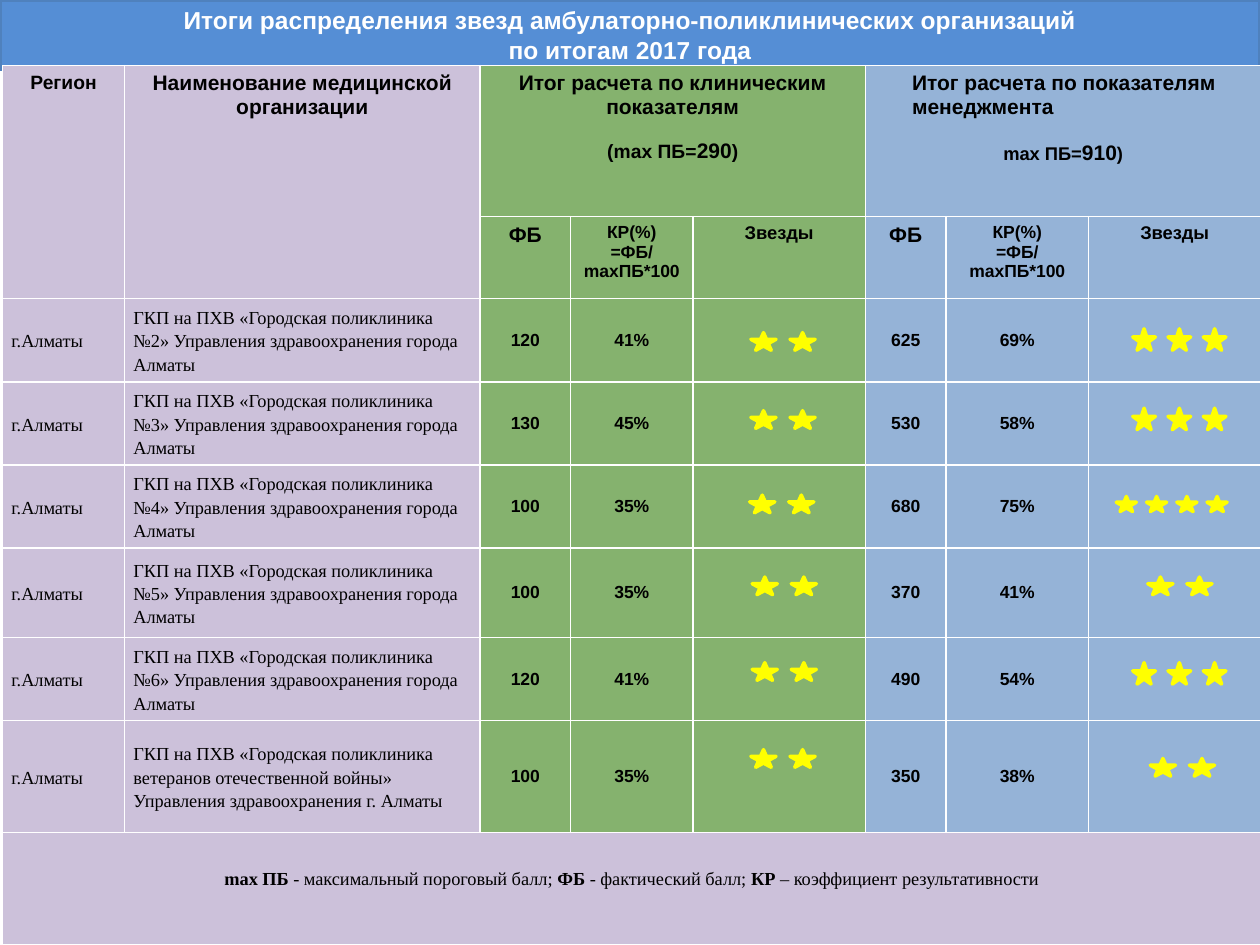
import dataclasses
import lxml.etree
import pptx
import pptx.dml.color
import pptx.enum.shapes
import pptx.enum.text
import pptx.oxml.ns
import pptx.util

Inches, Pt = pptx.util.Inches, pptx.util.Pt
ALIGN = pptx.enum.text.PP_ALIGN
MIDDLE = pptx.enum.text.MSO_ANCHOR.MIDDLE
LILAC, GREEN, BLUE = "CCC1DA", "85B26E", "95B3D7"
BLACK, WHITE, YELLOW = "000000", "FFFFFF", "FFFF00"
SERIF = "Times New Roman"
COLS = [0.97, 2.82, 0.72, 0.97, 1.37, 0.64, 1.13, 1.37]
ROWS = [1.2, 0.65, 0.66, 0.66, 0.66, 0.71, 0.66, 0.89, 0.89]
FILLS = [LILAC] * 2 + [GREEN] * 3 + [BLUE] * 3
# Star width, height and step by the number of stars in a cell
STARS = {2: (0.2, 0.14, 0.31), 3: (0.18, 0.17, 0.28), 4: (0.16, 0.12, 0.24)}

@dataclasses.dataclass
class Run:
    text: str
    size: float = 10.5
    bold: bool = True
    font: str = "Arial"
    color: str = BLACK

@dataclasses.dataclass
class Para:
    runs: list[Run]
    align: int = ALIGN.CENTER
    before: float = 0
    indent: float = 0
    lines: float = 1.0

@dataclasses.dataclass
class Score:
    points: str
    rate: str
    stars: int
    left: float
    top: float

@dataclasses.dataclass
class Clinic:
    name: str
    care: Score
    staff: Score

CITY = "Управления здравоохранения города Алматы"
CLINICS = [
    Clinic(f"№2» {CITY}", Score("120", "41%", 2, 5.96, 2.64), Score("625", "69%", 3, 8.99, 2.61)),
    Clinic(f"№3» {CITY}", Score("130", "45%", 2, 5.96, 3.26), Score("530", "58%", 3, 8.99, 3.24)),
    Clinic(f"№4» {CITY}", Score("100", "35%", 2, 5.95, 3.93), Score("680", "75%", 4, 8.86, 3.94)),
    Clinic(f"№5» {CITY}", Score("100", "35%", 2, 5.97, 4.58), Score("370", "41%", 2, 9.11, 4.58)),
    Clinic(f"№6» {CITY}", Score("120", "41%", 2, 5.97, 5.26), Score("490", "54%", 3, 8.99, 5.26)),
    Clinic("ветеранов отечественной войны» Управления здравоохранения г. Алматы",
           Score("100", "35%", 2, 5.96, 5.95), Score("350", "38%", 2, 9.13, 6.02)),
]

def rgb(color: str) -> pptx.dml.color.RGBColor:
    return pptx.dml.color.RGBColor.from_string(color)

def paint(shape, fill: str, line: str) -> None:
    shape.shadow.inherit = False
    shape.fill.solid()
    shape.fill.fore_color.rgb = rgb(fill)
    shape.line.color.rgb = rgb(line)
    shape.line.width = Pt(2)

def add_run(para, run: Run) -> None:
    item = para.add_run()
    item.text = run.text
    item.font.size = Pt(run.size)
    item.font.bold = run.bold
    item.font.name = run.font
    item.font.color.rgb = rgb(run.color)

def write(cell, paras: list[Para]) -> None:
    frame = cell.text_frame
    for i, data in enumerate(paras):
        para = frame.add_paragraph() if i else frame.paragraphs[0]
        para.alignment = data.align
        para.space_before = Pt(data.before)
        para.line_spacing = data.lines
        para._p.get_or_add_pPr().set("marL", str(Inches(data.indent)))
        for run in data.runs:
            add_run(para, run)

def center(cell, side: float) -> None:
    cell.vertical_anchor = MIDDLE
    cell.margin_left = cell.margin_right = Inches(side)
    cell.margin_top = cell.margin_bottom = 0

def style(cell, fill: str) -> None:
    props = cell._tc.get_or_add_tcPr()
    for edge in ("lnL", "lnR", "lnT", "lnB"):
        line = lxml.etree.SubElement(props, pptx.oxml.ns.qn(f"a:{edge}"), w=str(Pt(1)))
        solid = lxml.etree.SubElement(line, pptx.oxml.ns.qn("a:solidFill"))
        lxml.etree.SubElement(solid, pptx.oxml.ns.qn("a:srgbClr"), val=WHITE)
    cell.fill.solid()
    cell.fill.fore_color.rgb = rgb(fill)

def draw_stars(slide, score: Score) -> None:
    width, height, step = STARS[score.stars]
    group = slide.shapes.add_group_shape()
    for i in range(score.stars):
        shape = group.shapes.add_shape(
            pptx.enum.shapes.MSO_SHAPE.STAR_5_POINT, Inches(score.left + i * step),
            Inches(score.top), Inches(width), Inches(height))
        paint(shape, YELLOW, YELLOW)

def draw_title(slide) -> None:
    title = slide.shapes.title
    title.left, title.top = 0, 0
    title.width, title.height = Inches(10), Inches(0.55)
    paint(title, "558ED5", "4F81BD")
    frame = title.text_frame
    frame.auto_size = pptx.enum.text.MSO_AUTO_SIZE.NONE
    frame.vertical_anchor = MIDDLE
    para = frame.paragraphs[0]
    para.alignment = ALIGN.CENTER
    add_run(para, Run("Итоги распределения звезд амбулаторно-поликлинических организаций",
                      14, color=WHITE))
    para.add_line_break()
    add_run(para, Run("по итогам 2017 года", 14, color=WHITE))

def draw_head(table) -> None:
    for row, col, last_row, last_col in ((0, 0, 1, 0), (0, 1, 1, 1), (0, 2, 0, 4), (0, 5, 0, 7)):
        table.cell(row, col).merge(table.cell(last_row, last_col))
    write(table.cell(0, 0), [Para([Run("Регион", 11)])])
    write(table.cell(0, 1), [Para([Run("Наименование медицинской организации", 12)])])
    write(table.cell(0, 2), [
        Para([Run("Итог расчета по клиническим показателям", 12)]),
        Para([Run("(mах ПБ=", 11), Run("290", 12), Run(")", 11)], before=12)])
    write(table.cell(0, 5), [
        Para([Run("Итог расчета по показателям менеджмента", 12)], ALIGN.LEFT, indent=0.27),
        Para([Run("mах ПБ="), Run("910", 12), Run(")")], before=13)])
    for col in (2, 5):
        write(table.cell(1, col), [Para([Run("ФБ", 12)])])
        write(table.cell(1, col + 1),
              [Para([Run(text, 10)]) for text in ("КР(%)", "=ФБ/mахПБ*100")])
        write(table.cell(1, col + 2), [Para([Run("Звезды")])])

def draw_clinic(table, row: int, clinic: Clinic) -> None:
    for col, text in enumerate(("г.Алматы", f"ГКП на ПХВ «Городская поликлиника {clinic.name}")):
        cell = table.cell(row, col)
        center(cell, 0.07)
        write(cell, [Para([Run(text, bold=False, font=SERIF)], ALIGN.LEFT, lines=1.15)])
    for start, score in ((2, clinic.care), (5, clinic.staff)):
        for col, text in enumerate((score.points, score.rate), start):
            cell = table.cell(row, col)
            center(cell, 0)
            write(cell, [Para([Run(text, 10)])])

def draw_key(table) -> None:
    row = len(ROWS) - 1
    cell = table.cell(row, 0)
    cell.merge(table.cell(row, len(COLS) - 1))
    center(cell, 0.07)
    cell.margin_bottom = Inches(0.17)
    parts = ["mах ПБ ", "- максимальный пороговый балл; ", "ФБ", " - фактический балл; ",
             "КР", " – коэффициент результативности"]
    runs = [Run(text, bold=i % 2 == 0, font=SERIF) for i, text in enumerate(parts)]
    write(cell, [Para(runs, lines=1.15)])

def draw_table(slide) -> None:
    table = slide.shapes.add_table(len(ROWS), len(COLS), Inches(0.02), Inches(0.52),
                                   Inches(sum(COLS)), Inches(sum(ROWS))).table
    table.first_row = table.horz_banding = False
    for col, width in zip(table.columns, COLS):
        col.width = Inches(width)
    for row, height in zip(table.rows, ROWS):
        row.height = Inches(height)
        for cell, fill in zip(row.cells, FILLS):
            style(cell, fill)
    draw_head(table)
    for i, clinic in enumerate(CLINICS, 2):
        draw_clinic(table, i, clinic)
    draw_key(table)

# Build the slide
deck = pptx.Presentation()
deck.slide_width, deck.slide_height = Inches(10), Inches(7.5)
slide = deck.slides.add_slide(deck.slide_layouts[5])
draw_title(slide)
draw_table(slide)
for clinic in CLINICS:
    draw_stars(slide, clinic.care)
    draw_stars(slide, clinic.staff)
deck.save("out.pptx")
